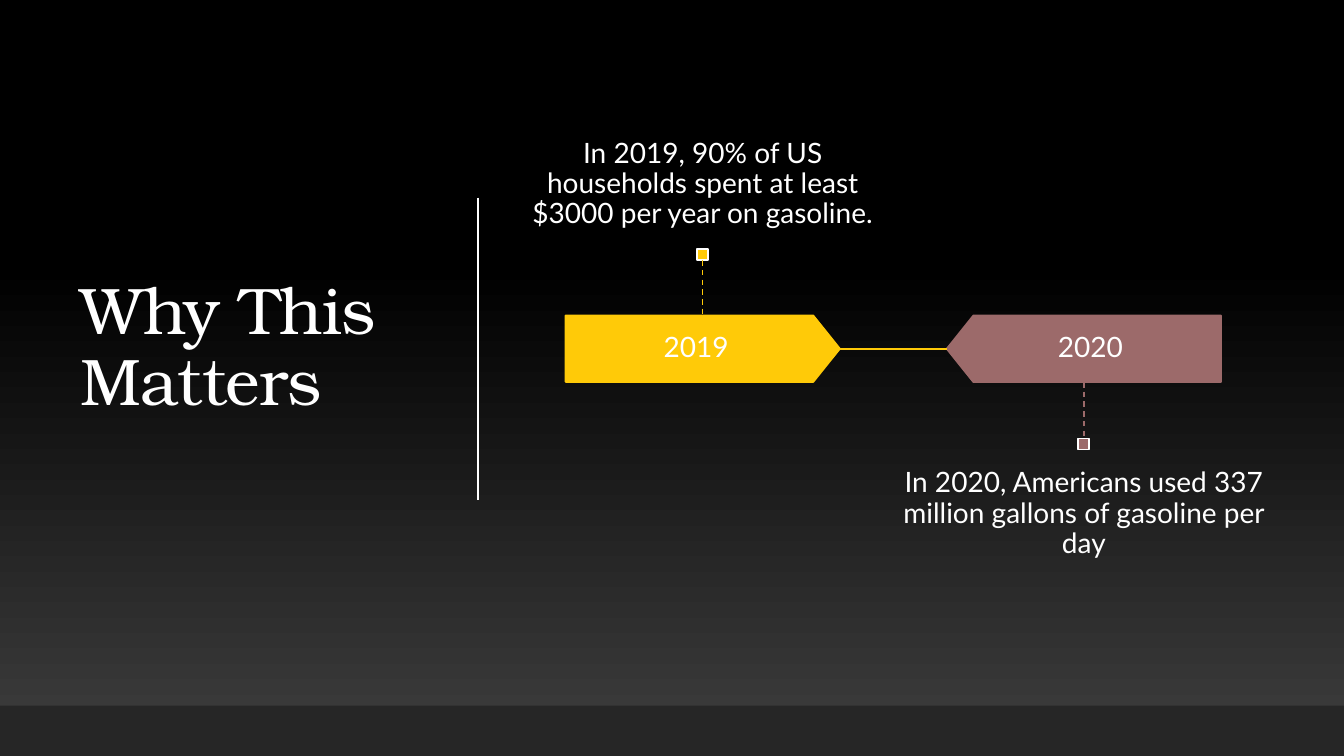
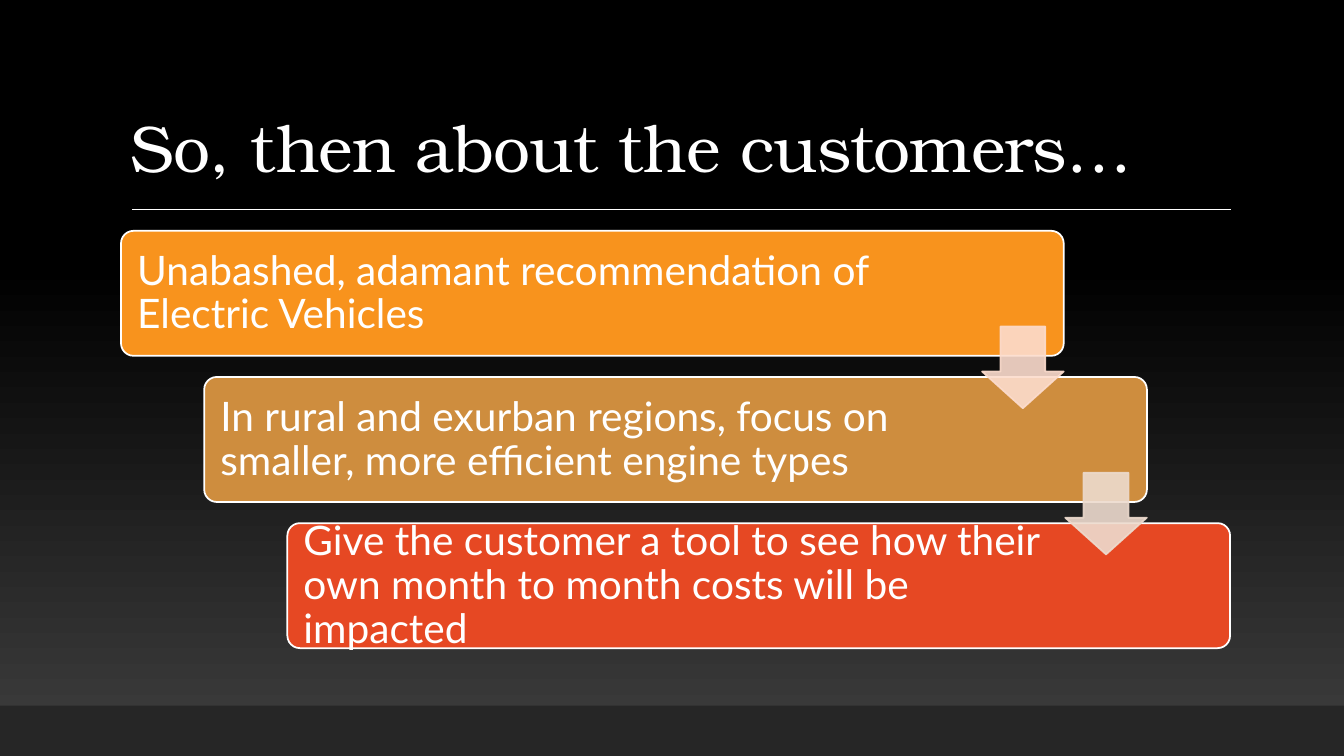
import copy

from pptx import Presentation
from pptx.dml.color import RGBColor
from pptx.enum import dml, shapes, text
from pptx.oxml import ns, xmlchemy
from pptx.util import Inches, Pt

WHITE = RGBColor(0xFF, 0xFF, 0xFF)
BLACK = RGBColor(0x00, 0x00, 0x00)
GREY = RGBColor(0x3F, 0x3F, 0x3F)
BAND = RGBColor(0x26, 0x26, 0x26)
YELLOW = RGBColor(0xFF, 0xCA, 0x08)
MAUVE = RGBColor(0x9C, 0x6A, 0x6A)
ORANGE = RGBColor(0xF8, 0x93, 0x1D)
OCHRE = RGBColor(0xCE, 0x8D, 0x3E)
RED = RGBColor(0xE6, 0x48, 0x23)
PEACH = RGBColor(0xFC, 0xDC, 0xCD)
SAND = RGBColor(0xED, 0xDB, 0xCE)
TITLE_FONT, BODY_FONT = "TeX Gyre Bonum", "Lato"
SHAPE = shapes.MSO_SHAPE
ANCHOR = text.MSO_ANCHOR
CENTER, LEFT = text.PP_ALIGN.CENTER, text.PP_ALIGN.LEFT


def add_shape(s, kind, at, fill, line=None, adjust=()):
    sp = s.shapes.add_shape(kind, *map(Inches, at))
    sp.shadow.inherit = False
    sp.fill.solid()
    sp.fill.fore_color.rgb = fill
    if line is None:
        sp.line.fill.background()
    else:
        sp.line.color.rgb = line
        sp.line.width = Pt(1.25)
    for i, value in enumerate(adjust):
        sp.adjustments[i] = value
    return sp


def add_text(s, at, words, size, anchor, align=LEFT, inset=(0.1, 0.05), font=BODY_FONT):
    tf = s.shapes.add_textbox(*map(Inches, at)).text_frame
    tf.word_wrap = True
    tf.vertical_anchor = anchor
    tf.margin_left = tf.margin_right = Inches(inset[0])
    tf.margin_top = tf.margin_bottom = Inches(inset[1])
    tf.text = words
    p = tf.paragraphs[0]
    p.alignment = align
    p.line_spacing = 0.9
    r = p.runs[0]
    r.font.size = Pt(size)
    r.font.name = font
    r.font.color.rgb = WHITE
    return r


prs = Presentation()
prs.slide_width, prs.slide_height = Inches(13.33), Inches(7.5)

# Shared background: grey at the bottom fading to black
master = prs.slide_master
fill = master.background.fill
fill.gradient()
fill.gradient_angle = 90
for stop, position, color in zip(fill.gradient_stops, (0, 0.65), (GREY, BLACK)):
    stop.position = position
    stop.color.rgb = color
stops = master.element.find(".//" + ns.qn("a:gsLst"))
last = copy.deepcopy(stops[-1])
last.set("pos", "100000")
stops.append(last)

# Slides with title and bottom band
titles = [
    ("Why This Matters", (0.7, 0.69, 3.69, 5.53), ANCHOR.MIDDLE),
    ("So, then about the customers…", (1.2, 0.31, 11, 1.59), ANCHOR.BOTTOM),
]
for words, at, anchor in titles:
    s = prs.slides.add_slide(prs.slide_layouts[6])
    add_shape(s, SHAPE.RECTANGLE, (0, 7, 13.33, 0.5), BAND)
    r = add_text(s, at, words, 47, anchor, font=TITLE_FONT)
    r.font._element.set("spc", "-50")
timeline, steps = prs.slides

# Timeline: year tags, captions and markers
TAG_W, TAG_H, TAG_TOP, MARK = 2.72, 0.66, 3.13, 0.11
years = [
    ("2019", YELLOW, 5.61, 0, 5.61, 2.47, 0.7, ANCHOR.BOTTOM,
     "In 2019, 90% of US households spent at least $3000 per year on gasoline."),
    ("2020", MAUVE, 9.39, 180, 9.52, 4.35, 4.46, ANCHOR.TOP,
     "In 2020, Americans used 337 million gallons of gasoline per day"),
]
lines = [
    (timeline, 4.74, 1.96, 4.74, 4.96, WHITE, 1, False),
    (timeline, 8.33, 3.46, 9.39, 3.46, YELLOW, 1.25, False),
    (steps, 1.31, 2.08, 12.21, 2.08, WHITE, 1, False),
]
for year, color, left, turn, label_left, mark_top, caption_top, anchor, caption in years:
    tag = add_shape(timeline, SHAPE.PENTAGON, (left, TAG_TOP, TAG_W, TAG_H), color, color, [0.4])
    tag.rotation = turn
    add_text(timeline, (label_left, TAG_TOP, 2.59, TAG_H), year, 20,
             ANCHOR.MIDDLE, CENTER, (0.17, 0.17))
    middle = left + TAG_W / 2
    add_text(timeline, (middle - 1.89, caption_top, 3.78, 1.77), caption, 20,
             anchor, CENTER, (0, 0.19))
    add_shape(timeline, SHAPE.RECTANGLE, (middle - MARK / 2, mark_top, MARK, MARK), color, WHITE)
    if mark_top < TAG_TOP:
        top, bottom = mark_top + MARK, TAG_TOP
    else:
        top, bottom = TAG_TOP + TAG_H, mark_top
    lines.append((timeline, middle, top, middle, bottom, color, 1, True))

# Staircase of recommendations
STEP_X, STEP_Y = 0.825, 1.45
recommendations = [
    ("Unabashed, adamant recommendation of Electric Vehicles", ORANGE, 8.01),
    ("In rural and exurban regions, focus on smaller, more efficient engine types", OCHRE, 7.64),
    ("Give the customer a tool to see how their own month to month costs will be impacted",
     RED, 7.64),
]
for i, (words, color, width) in enumerate(recommendations):
    left, top = 1.2 + i * STEP_X, 2.29 + i * STEP_Y
    add_shape(steps, SHAPE.ROUNDED_RECTANGLE, (left, top, 9.35, 1.24), color, WHITE, [0.1])
    add_text(steps, (left + 0.04, top + 0.04, width, 1.17), words, 29,
             ANCHOR.MIDDLE, inset=(0.12, 0.12))

# Translucent arrows between the steps
for i, color in enumerate((PEACH, SAND)):
    at = (9.74 + i * STEP_X, 3.24 + i * STEP_Y, 0.81, 0.81)
    arrow = add_shape(steps, SHAPE.DOWN_ARROW, at, color, color, [0.55, 0.45])
    for clr in arrow._element.spPr.iter(ns.qn("a:srgbClr")):
        clr.append(xmlchemy.OxmlElement("a:alpha"))
        clr[-1].set("val", "90000")

# Rules and connecting lines
for s, x1, y1, x2, y2, color, width, dashed in lines:
    line = s.shapes.add_connector(shapes.MSO_CONNECTOR.STRAIGHT, *map(Inches, (x1, y1, x2, y2)))
    line.line.color.rgb = color
    line.line.width = Pt(width)
    if dashed:
        line.line.dash_style = dml.MSO_LINE.DASH
    line._element.spPr.append(xmlchemy.OxmlElement("a:effectLst"))

prs.save("out.pptx")
